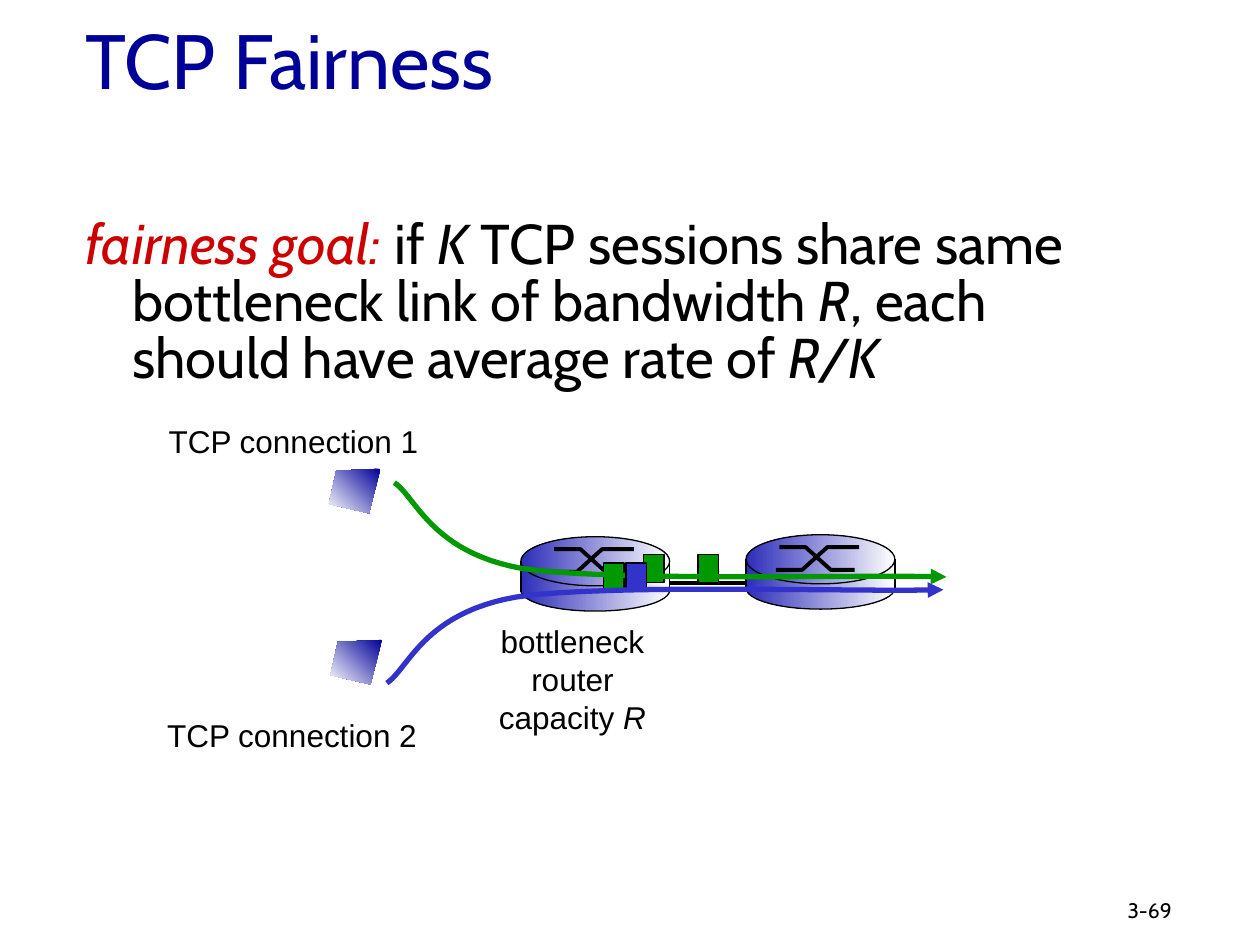
from lxml import etree
from pptx import Presentation
from pptx.dml.color import RGBColor
from pptx.enum.shapes import MSO_CONNECTOR, MSO_SHAPE
from pptx.enum.text import MSO_ANCHOR, PP_ALIGN
from pptx.oxml.ns import qn
from pptx.util import Cm, Pt

RECTANGLE, OVAL = MSO_SHAPE.RECTANGLE, MSO_SHAPE.OVAL
STRAIGHT = MSO_CONNECTOR.STRAIGHT
TOP, MIDDLE = MSO_ANCHOR.TOP, MSO_ANCHOR.MIDDLE
LEFT, CENTER = PP_ALIGN.LEFT, PP_ALIGN.CENTER

BLACK, WHITE, NAVY, RED = "000000", "FFFFFF", "000099", "CC0000"
GREEN, BLUE, ROUTER_BLUE = "009900", "3333CC", "2D2DB9"
ROUTER_WIDTH = 3
CURVE_STEPS = 24


def color(hex_string):
    """Turn a hex string into a colour."""
    return RGBColor.from_string(hex_string)


def set_gradient(shape, start, angle):
    """Fill a shape with a gradient from a colour to white."""
    shape.fill.gradient()
    shape.fill.gradient_angle = angle
    for stop, stop_color in zip(shape.fill.gradient_stops, (start, WHITE)):
        stop.color.rgb = color(stop_color)


def set_line(shape, line_color, width):
    """Outline a shape, or leave it without a line when the width is 0."""
    if width:
        shape.line.color.rgb = color(line_color)
        shape.line.width = Pt(width)
    else:
        shape.line.fill.background()


def add_text(slide, box, paragraphs, size, font, align=LEFT, anchor=TOP, wrap=True):
    """Add a text box of paragraphs, each a list of (text, colour, italic) runs."""
    frame = slide.shapes.add_textbox(*map(Cm, box)).text_frame
    frame.word_wrap = wrap
    frame.vertical_anchor = anchor
    for index, runs in enumerate(paragraphs):
        paragraph = frame.add_paragraph() if index else frame.paragraphs[0]
        paragraph.alignment = align
        for text, text_color, italic in runs:
            run = paragraph.add_run()
            run.text = text
            run.font.size = Pt(size)
            run.font.name = font
            run.font.italic = italic
            run.font.color.rgb = color(text_color)
    return frame


def add_goal(slide):
    """Add the fairness goal with a hanging indent."""
    runs = [
        ("fairness goal:", RED, True),
        (" if ", BLACK, False),
        ("K", BLACK, True),
        (" TCP sessions share same bottleneck link of bandwidth ", BLACK, False),
        ("R", BLACK, True),
        (", each should have average rate of ", BLACK, False),
        ("R/K", BLACK, True),
    ]
    goal = add_text(slide, (1.47, 4.29, 21.59, 13.08), [runs], 32, "Cabin").paragraphs[0]
    goal.line_spacing = 0.85
    properties = goal._p.get_or_add_pPr()
    properties.set("marL", str(Cm(0.95)))
    properties.set("indent", str(-Cm(0.95)))


def add_connector(shapes, start, end, width):
    """Add a straight black line."""
    line = shapes.add_connector(STRAIGHT, *map(Cm, (*start, *end)))
    set_line(line, BLACK, width)
    etree.SubElement(line._element.spPr, qn("a:effectLst"))


def add_outline(shapes, points, closed=False):
    """Add a freeform through points given in centimetres."""
    corners = [(Cm(x), Cm(y)) for x, y in points]
    builder = shapes.build_freeform(*corners[0])
    builder.add_line_segments(corners[1:], close=closed)
    outline = builder.convert_to_shape()
    outline.shadow.inherit = False
    if not closed:
        outline.fill.background()
    return outline


def add_router(slide, left, top, cross_left, cross_widths):
    """Add a router drum with a crossed-lines emblem on its lid."""
    shapes = slide.shapes.add_group_shape().shapes
    drum = ((OVAL, 0.66, 0.84, 0.75), (RECTANGLE, 0.58, 0.5, 0), (OVAL, 0, 0.99, 0.75))
    for kind, offset, height, width in drum:
        part = shapes.add_shape(kind, Cm(left), Cm(top + offset), Cm(ROUTER_WIDTH), Cm(height))
        part.shadow.inherit = False
        set_gradient(part, ROUTER_BLUE, 0)
        set_line(part, BLACK, width)
    high, low = top + 0.25, top + 0.71
    crossings = zip((0.6, cross_left), cross_widths, ((low, high), (high, low)))
    for offset, end, (first, last) in crossings:
        xs = [left + offset + x for x in (0, 0.53, 1.04, end)]
        set_line(add_outline(shapes, zip(xs, (first, first, last, last))), BLACK, 2.25)
    for x in (left, left + ROUTER_WIDTH):
        add_connector(shapes, (x, top + 0.48), (x, top + 1.12), 0.75)


def add_packet(slide, left, top, fill):
    """Add one packet."""
    packet = slide.shapes.add_shape(RECTANGLE, Cm(left), Cm(top), Cm(0.41), Cm(0.56))
    packet.shadow.inherit = False
    packet.fill.solid()
    packet.fill.fore_color.rgb = color(fill)
    set_line(packet, BLACK, 0.75)


def curve_points(knots):
    """Sample a chain of cubic Bezier curves."""
    points = [knots[0]]
    for first in range(0, len(knots) - 1, 3):
        controls = knots[first:first + 4]
        for step in range(1, CURVE_STEPS + 1):
            t = step / CURVE_STEPS
            weights = ((1 - t) ** 3, 3 * t * (1 - t) ** 2, 3 * t * t * (1 - t), t ** 3)
            points.append(tuple(sum(w * c for w, c in zip(weights, axis)) for axis in zip(*controls)))
    return points


def add_flow(slide, knots, flow_color):
    """Add the curved arrow of one TCP connection."""
    flow = add_outline(slide.shapes, curve_points(knots))
    set_line(flow, flow_color, 3)
    etree.SubElement(flow.line._get_or_add_ln(), qn("a:tailEnd"), type="triangle")


def add_host(slide, left, top):
    """Add the slanted screen of a sending host."""
    corners = ((1.04, 0), (0.15, 0.04), (0, 0.71), (0.81, 0.9))
    screen = add_outline(slide.shapes, [(left + x, top + y) for x, y in corners], closed=True)
    set_gradient(screen, NAVY, 225)
    set_line(screen, BLACK, 0)


def add_label(slide, box, paragraphs, align=LEFT):
    """Add a diagram label."""
    add_text(slide, box, paragraphs, 18, "Arial", align, wrap=False)


def main():
    """Build the slide."""
    deck = Presentation()
    deck.slide_width, deck.slide_height = Cm(25.4), Cm(19.05)
    slide = deck.slides.add_slide(deck.slide_layouts[6])

    add_text(slide, (1.47, 0.13, 21.59, 2.11), [[("TCP Fairness", NAVY, False)]], 44, "Cabin", anchor=MIDDLE)
    add_goal(slide)
    add_text(slide, (22.48, 17.96, 2.51, 0.76), [[("3-69", BLACK, False)]], 12, "Cabin")

    add_connector(slide.shapes, (13.49, 11.75), (15.04, 11.75), 2.25)
    add_router(slide, 10.5, 10.82, 0.67, (1.68, 1.52))
    add_router(slide, 15.04, 10.78, 0.67, (1.68, 1.52))
    for left, top in ((14.07, 11.18), (12.17, 11.35), (12.98, 11.18)):
        add_packet(slide, left, top, GREEN)

    add_label(slide, (3.15, 8.38, 5.56, 1.02), [[("TCP connection 1", BLACK, False)]])
    bottleneck = [
        [("bottleneck", BLACK, False)],
        [("router", BLACK, False)],
        [("capacity ", BLACK, False), ("R", BLACK, True)],
    ]
    add_label(slide, (9.8, 12.42, 3.48, 2.54), bottleneck, CENTER)

    add_flow(slide, [(7.95, 9.73), (8.38, 10.01), (8.69, 11.13), (10.52, 11.46),
                     (12.37, 11.73), (17.3, 11.58), (19.08, 11.63)], GREEN)
    add_packet(slide, 12.62, 11.35, BLUE)
    add_flow(slide, [(7.8, 13.77), (8.23, 13.49), (8.53, 12.37), (10.39, 12.04),
                     (12.27, 11.76), (17.25, 11.94), (19.02, 11.89)], BLUE)
    add_label(slide, (3.12, 14.3, 5.56, 1.02), [[("TCP connection 2", BLACK, False)]])
    add_host(slide, 6.63, 9.45)
    add_host(slide, 6.66, 12.9)
    deck.save("out.pptx")


if __name__ == "__main__":
    main()
